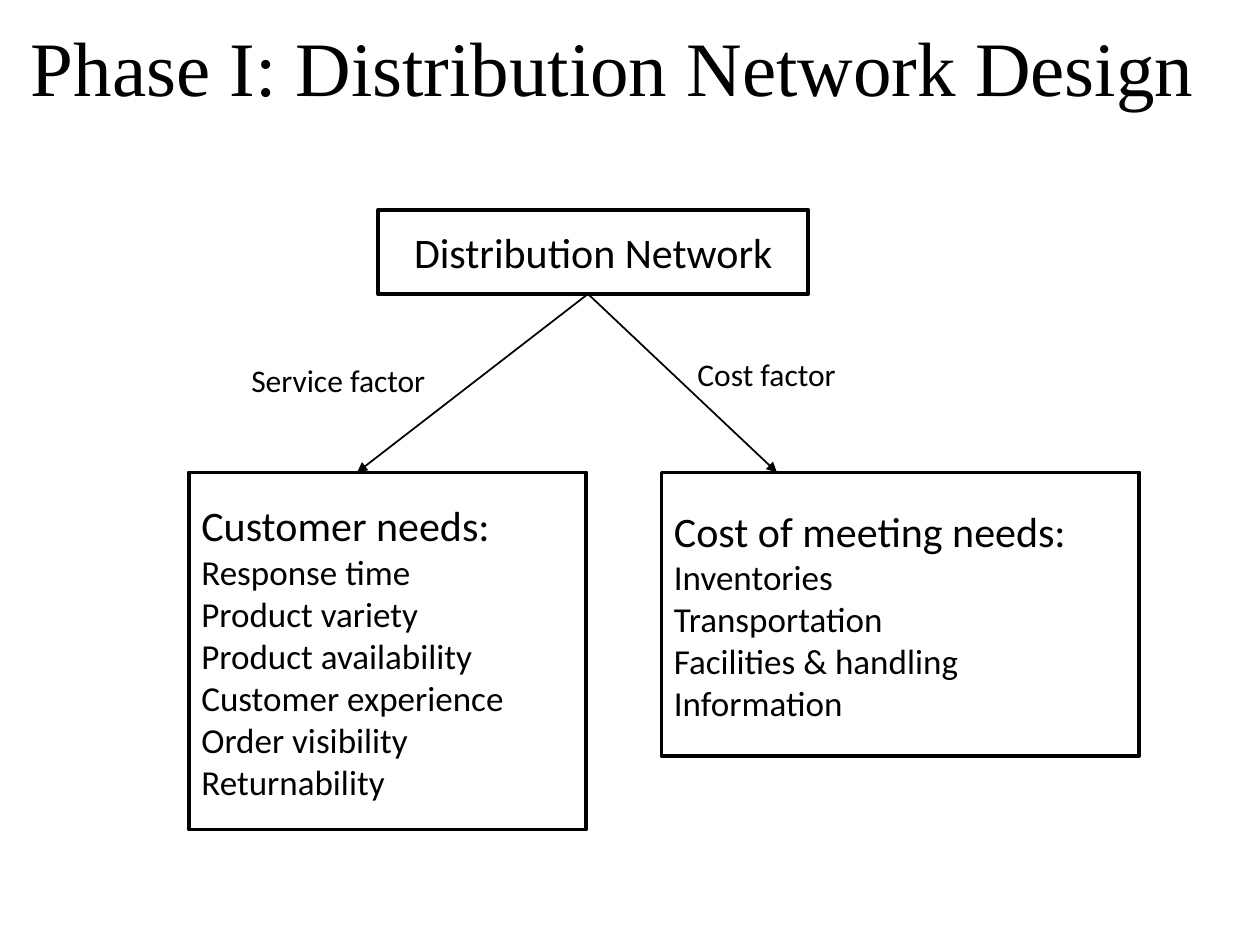
from pptx import Presentation
from pptx.dml.color import RGBColor
from pptx.enum.shapes import MSO_CONNECTOR, MSO_SHAPE
from pptx.enum.text import MSO_ANCHOR, MSO_AUTO_SIZE, PP_ALIGN
from pptx.oxml.ns import qn
from pptx.util import Pt
from lxml.etree import SubElement

HUES = {"ink": "000000", "paper": "FFFFFF"}
NEEDS = ["Customer needs:", "Response time", "Product variety",
         "Product availability", "Customer experience",
         "Order visibility", "Returnability"]
COSTS = ["Cost of meeting needs:", "Inventories", "Transportation",
         "Facilities & handling", "Information"]


def hue(name):
    return RGBColor.from_string(HUES[name])


def write(frame, lines, size=24, rest=20, font="Calibri",
          align=PP_ALIGN.LEFT, anchor=MSO_ANCHOR.MIDDLE, wrap=True,
          fit=MSO_AUTO_SIZE.NONE):
    """Fill a frame; the first line has its own size, the others use rest."""
    frame.word_wrap = wrap
    frame.auto_size = fit
    frame.vertical_anchor = anchor
    for i, line in enumerate(lines):
        para = frame.add_paragraph() if i else frame.paragraphs[0]
        para.alignment = align
        run = para.add_run()
        run.text = line
        run.font.name = font
        run.font.size = Pt(rest if i else size)
        run.font.color.rgb = hue("ink")


def add_title(slide, text):
    title = slide.shapes.title
    title.left, title.top, title.width, title.height = map(Pt, (0, 0, 700.5, 75))
    write(title.text_frame, [text], size=44, font="Times New Roman",
          align=PP_ALIGN.CENTER)


def add_box(slide, area, lines, **style):
    box = slide.shapes.add_shape(MSO_SHAPE.RECTANGLE, *map(Pt, area))
    box.shadow.inherit = False
    box.fill.background()
    box.line.color.rgb = hue("ink")
    box.line.width = Pt(2.25)
    write(box.text_frame, lines, **style)


def add_label(slide, area, text):
    box = slide.shapes.add_textbox(*map(Pt, area))
    write(box.text_frame, [text], size=18, anchor=MSO_ANCHOR.TOP,
          wrap=False, fit=MSO_AUTO_SIZE.SHAPE_TO_FIT_TEXT)


def add_arrow(slide, start, end):
    arrow = slide.shapes.add_connector(
        MSO_CONNECTOR.STRAIGHT, *map(Pt, start + end))
    arrow.line.color.rgb = hue("ink")
    arrow.line.width = Pt(1)
    SubElement(arrow.line._get_or_add_ln(), qn("a:tailEnd"), type="triangle")
    SubElement(arrow._element.spPr, qn("a:effectLst"))


def main():
    deck = Presentation()
    deck.slide_width, deck.slide_height = Pt(720), Pt(540)
    slide = deck.slides.add_slide(deck.slide_layouts[5])
    slide.background.fill.solid()
    slide.background.fill.fore_color.rgb = hue("paper")

    add_title(slide, "Phase I: Distribution Network Design")
    add_box(slide, (216, 120, 246, 48), ["Distribution Network"],
            align=PP_ALIGN.CENTER)
    add_box(slide, (108, 270, 227, 204), NEEDS)
    add_box(slide, (378, 270, 273, 162), COSTS)
    for tip in (204, 444):
        add_arrow(slide, (336, 168), (tip, 270))
    add_label(slide, (136.5, 203, 115, 29), "Service factor")
    add_label(slide, (391.5, 199.5, 94.5, 29), "Cost factor")
    deck.save("out.pptx")


if __name__ == "__main__":
    main()
